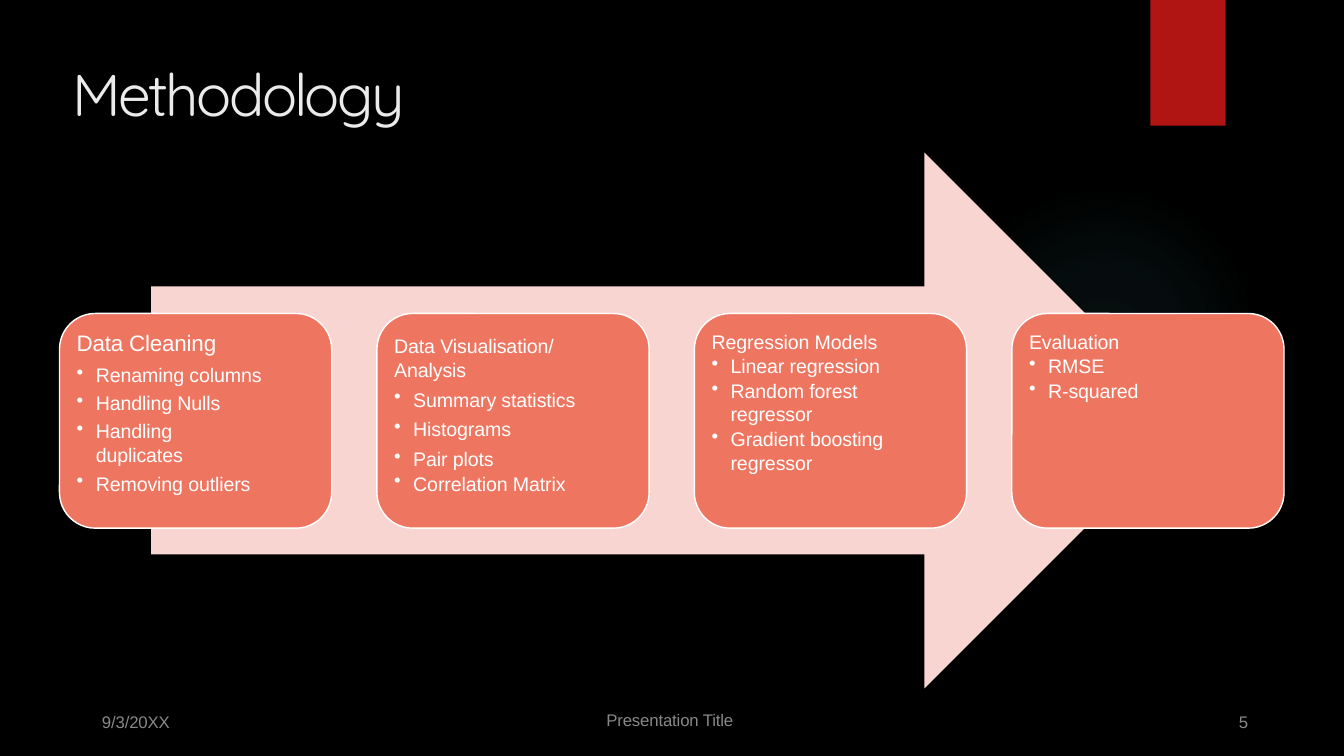
import pptx
import pptx.dml.color
import pptx.enum.shapes
import pptx.enum.text
import pptx.oxml
import pptx.oxml.ns
import pptx.util

Cm = pptx.util.Cm
Pt = pptx.util.Pt
RGBColor = pptx.dml.color.RGBColor
MSO_SHAPE = pptx.enum.shapes.MSO_SHAPE
MSO_ANCHOR = pptx.enum.text.MSO_ANCHOR
PP_ALIGN = pptx.enum.text.PP_ALIGN
qn = pptx.oxml.ns.qn

BLACK = RGBColor(0x00, 0x00, 0x00)
WHITE = RGBColor(0xFF, 0xFF, 0xFF)
TITLE = RGBColor(0xEB, 0xEB, 0xEB)
RED = RGBColor(0xB0, 0x15, 0x13)
PINK = RGBColor(0xF8, 0xD5, 0xD1)
CORAL = RGBColor(0xEE, 0x76, 0x61)
GREY = RGBColor(0x88, 0x88, 0x88)
TEAL = RGBColor(0x50, 0xB9, 0xC1)

CARD_LEFT, CARD_TOP, CARD_PITCH = 1.5, 7.9, 8.0
CARD_WIDTH, CARD_HEIGHT = 6.86, 5.41

CARDS = [
    {"heading": "Data Cleaning", "size": 16, "top": 0.14,
     "items": [("Renaming columns", 4.6, None), ("Handling Nulls", 3.1, 17.1),
               ("Handling\vduplicates", 3.1, 17.1), ("Removing outliers", 3.1, 17.1)]},
    {"heading": "Data Visualisation/ Analysis", "size": 14, "top": 0.24, "line": 17.1,
     "items": [("Summary statistics", 4.4, None), ("Histograms", 4.4, None),
               ("Pair plots", 4.4, None), ("Correlation Matrix", 0.8, None)]},
    {"heading": "Regression Models", "size": 14, "top": 0.14,
     "items": [("Linear regression", 0.8, None), ("Random forest regressor", 0.8, None),
               ("Gradient boosting regressor", 0.8, None)]},
    {"heading": "Evaluation", "size": 14, "top": 0.14,
     "items": [("RMSE", 0.8, None), ("R-squared", 0.8, None)]},
]


class Deck:
    font = "Arial"
    title_font = "Quicksand"

    def __init__(self):
        self.prs = pptx.Presentation()
        self.prs.slide_width = Cm(33.87)
        self.prs.slide_height = Cm(19.05)
        self.slide = self.prs.slides.add_slide(self.prs.slide_layouts[5])
        fill = self.slide.background.fill
        fill.solid()
        fill.fore_color.rgb = BLACK

    def frame(self, sp, left=0, top=0, right=0):
        tf = sp.text_frame
        tf.word_wrap = True
        tf.auto_size = pptx.enum.text.MSO_AUTO_SIZE.NONE
        tf.vertical_anchor = MSO_ANCHOR.TOP
        tf.margin_left, tf.margin_top = Cm(left), Cm(top)
        tf.margin_right, tf.margin_bottom = Cm(right), 0
        return tf

    def paragraph(self, p, text, size, color, font=None, align=PP_ALIGN.LEFT,
                  line=None, before=0, spacing=-0.1):
        p.text = text
        p.alignment = align
        p.space_before = Pt(before)
        if line:
            p.line_spacing = Pt(line)
        p.font.name = font or self.font
        p.font.size = Pt(size)
        p.font.color.rgb = color
        p._p.pPr.find(qn("a:defRPr")).set("spc", str(round(spacing * 100)))

    def bullet(self, p):
        pPr = p._p.get_or_add_pPr()
        pPr.set("marL", str(Cm(0.48)))
        pPr.set("indent", str(-Cm(0.48)))
        bu = pptx.oxml.parse_xml(
            f'<a:buChar {pptx.oxml.ns.nsdecls("a")} char="•"/>')
        pPr.find(qn("a:defRPr")).addprevious(bu)

    def title(self, text):
        sp = self.slide.shapes.title
        sp.left, sp.top, sp.width, sp.height = Cm(1.82), Cm(1.27), Cm(26), Cm(2.4)
        tf = self.frame(sp, top=0.18)
        self.paragraph(tf.paragraphs[0], text, 42, TITLE, self.title_font, spacing=-1.8)

    def shape(self, kind, left, top, width, height, color, outline=None):
        sp = self.slide.shapes.add_shape(
            kind, Cm(left), Cm(top), Cm(width), Cm(height))
        sp.shadow.inherit = False
        sp.fill.solid()
        sp.fill.fore_color.rgb = color
        if outline is None:
            sp.line.fill.background()
        else:
            sp.line.color.rgb = outline
            sp.line.width = Pt(1)
        return sp

    def glow(self, left, top, size, color):
        sp = self.shape(MSO_SHAPE.OVAL, left, top, size, size, color)
        stops = "".join(
            f'<a:gs pos="{pos * 1000}"><a:srgbClr val="{color}">'
            f'<a:alpha val="{alpha * 1000}"/></a:srgbClr></a:gs>'
            for pos, alpha in ((0, 7), (36, 6), (69, 0), (100, 0)))
        grad = pptx.oxml.parse_xml(
            f'<a:gradFill {pptx.oxml.ns.nsdecls("a")}><a:gsLst>{stops}</a:gsLst>'
            '<a:path path="circle"><a:fillToRect l="50000" t="50000" '
            'r="50000" b="50000"/></a:path></a:gradFill>')
        spPr = sp.element.spPr
        spPr.replace(spPr.find(qn("a:solidFill")), grad)

    def card(self, left, card):
        sp = self.shape(MSO_SHAPE.ROUNDED_RECTANGLE, left, CARD_TOP,
                        CARD_WIDTH, CARD_HEIGHT, CORAL, WHITE)
        tf = self.frame(sp, left=0.17, top=card["top"], right=0.8)
        self.paragraph(tf.paragraphs[0], card["heading"], card["size"], WHITE,
                       line=card.get("line"))
        for text, before, line in card["items"]:
            p = tf.add_paragraph()
            self.paragraph(p, text, 14, WHITE, line=line, before=before)
            self.bullet(p)

    def footer(self, text, left, top, width, align=PP_ALIGN.LEFT):
        sp = self.slide.shapes.add_textbox(Cm(left), Cm(top), Cm(width), Cm(0.5))
        tf = self.frame(sp)
        self.paragraph(tf.paragraphs[0], text, 12, GREY, align=align, line=12.7)


def main():
    deck = Deck()
    deck.glow(23.9, 4.65, 7.82, TEAL)
    deck.shape(MSO_SHAPE.RECTANGLE, 28.99, 0, 1.9, 3.17, RED)
    deck.title("Methodology")
    deck.shape(MSO_SHAPE.RIGHT_ARROW, 3.81, 3.84, 26.24, 13.51, PINK)
    for i, card in enumerate(CARDS):
        deck.card(CARD_LEFT + i * CARD_PITCH, card)
    deck.footer("9/3/20XX", 2.57, 17.99, 2.2)
    deck.footer("Presentation Title", 15.28, 17.95, 3.8)
    deck.footer("5", 31.04, 17.99, 0.6, PP_ALIGN.CENTER)
    deck.prs.save("out.pptx")


if __name__ == "__main__":
    main()
